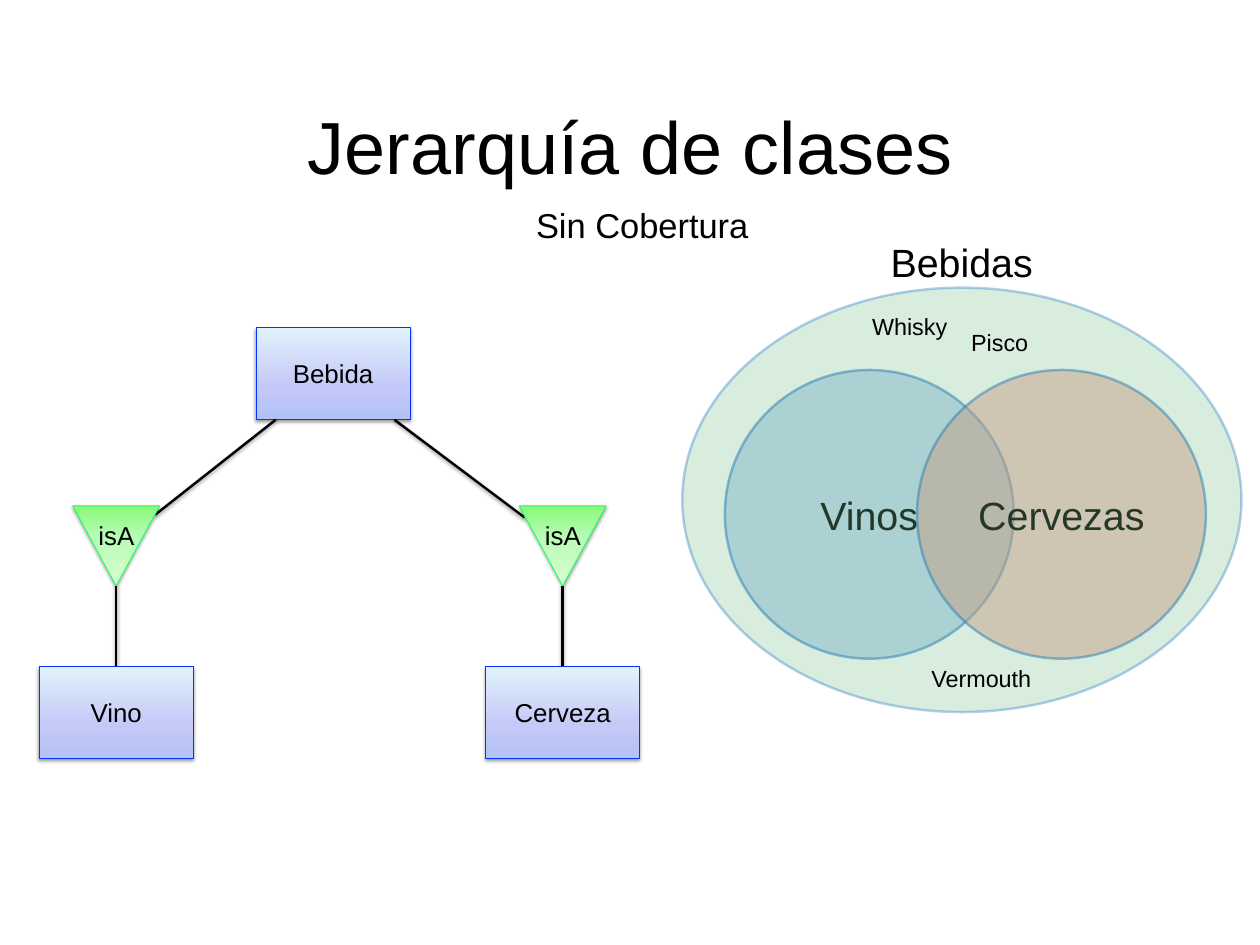
from lxml.etree import SubElement
from pptx import Presentation
from pptx.dml.color import RGBColor
from pptx.enum.shapes import MSO_CONNECTOR, MSO_SHAPE
from pptx.enum.text import MSO_ANCHOR, PP_ALIGN
from pptx.oxml import parse_xml
from pptx.oxml.ns import nsdecls, qn
from pptx.util import Cm, Pt

COLORS = {
    "text": "000000", "box_line": "0433FF", "triangle_line": "1DFF63",
    "set_line": "0365C0", "wines": "7FB1DF", "beers": "E39181", "drinks": "7EC393",
}
# Gradient stops run from the first colour to the last, as (percent, colour)
BOX_STOPS = [(0, "E1F2FC"), (64, "C4C9F7"), (100, "B2C2F5")]
TRIANGLE_STOPS = [(0, "8CF97C"), (3, "8CF97C"), (39, "B7FCB6"), (100, "DAFDD0")]


def write_text(shape, text, size=21, align=PP_ALIGN.CENTER, anchor=MSO_ANCHOR.MIDDLE, wrap=True):
    frame = shape.text_frame
    frame.word_wrap = wrap
    frame.vertical_anchor = anchor
    frame.margin_left = frame.margin_right = frame.margin_top = frame.margin_bottom = 0
    paragraph = frame.paragraphs[0]
    paragraph.alignment = align
    run = paragraph.add_run()
    run.text = text
    run.font.name = "Arial"
    run.font.size = Pt(size)
    run.font.color.rgb = RGBColor.from_string(COLORS["text"])


def add_label(slide, text, left, top, width, height, **text_format):
    label = slide.shapes.add_textbox(Cm(left), Cm(top), Cm(width), Cm(height))
    write_text(label, text, **text_format)


def add_shadow(shape):
    properties = shape._element.spPr
    for old_effects in properties.findall(qn("a:effectLst")):
        properties.remove(old_effects)
    properties.append(parse_xml(
        f'<a:effectLst {nsdecls("a")}><a:outerShdw blurRad="{Pt(3)}" dist="{Pt(1.6)}" '
        'dir="5400000" rotWithShape="0"><a:srgbClr val="000000"><a:alpha val="38000"/>'
        '</a:srgbClr></a:outerShdw></a:effectLst>'))


def add_gradient_shape(slide, kind, left, top, width, height, stops, line_color):
    shape = slide.shapes.add_shape(kind, Cm(left), Cm(top), Cm(width), Cm(height))
    shape.line.color.rgb = RGBColor.from_string(line_color)
    shape.line.width = Pt(0.75)
    stop_xml = "".join(f'<a:gs pos="{percent * 1000}"><a:srgbClr val="{color}"/></a:gs>'
                       for percent, color in stops)
    gradient = parse_xml(f'<a:gradFill {nsdecls("a")} rotWithShape="1"><a:gsLst>{stop_xml}'
                         '</a:gsLst><a:lin ang="5400000" scaled="0"/></a:gradFill>')
    shape._element.spPr.find(qn("a:prstGeom")).addnext(gradient)
    add_shadow(shape)
    return shape


def add_link(slide, start_x, start_y, end_x, end_y):
    link = slide.shapes.add_connector(
        MSO_CONNECTOR.STRAIGHT, Cm(start_x), Cm(start_y), Cm(end_x), Cm(end_y))
    link.line.color.rgb = RGBColor.from_string(COLORS["text"])
    link.line.width = Pt(2)
    add_shadow(link)


def add_set(slide, left, top, width, height, color, opacity):
    oval = slide.shapes.add_shape(MSO_SHAPE.OVAL, Cm(left), Cm(top), Cm(width), Cm(height))
    oval.shadow.inherit = False
    oval.fill.solid()
    oval.fill.fore_color.rgb = RGBColor.from_string(color)
    oval.line.color.rgb = RGBColor.from_string(COLORS["set_line"])
    oval.line.width = Pt(2)
    for color_element in oval._element.spPr.iter(qn("a:srgbClr")):
        SubElement(color_element, qn("a:alpha")).set("val", str(opacity * 1000))
    return oval


def add_heading(slide, left, top, width):
    add_label(slide, "Jerarquía de clases", left, top, width, 2.77, size=60)
    add_label(slide, "Sin Cobertura", left + 4.64, top + 2.95, 16.66, 1.45, size=28)


def add_hierarchy(slide, left, top, width, height):
    box_width, box_height = 4.42, 2.62
    triangle_width, triangle_height, triangle_top = 2.49, 2.29, top + 5.11
    box_top = top + height - box_height

    def add_entity(name, entity_left, entity_top):
        box = add_gradient_shape(slide, MSO_SHAPE.RECTANGLE, entity_left, entity_top,
                                 box_width, box_height, BOX_STOPS, COLORS["box_line"])
        write_text(box, name)

    # Parent class
    add_entity("Bebida", left + 6.22, top)

    # Subclasses: name, centre, start of the link, end of the link
    subclasses = [
        ("Vino", box_width / 2, (6.78, 2.64), (3.33, 5.36)),
        ("Cerveza", width - box_width / 2, (10.19, 2.64), (13.92, 5.44)),
    ]
    for name, offset, (start_x, start_y), (end_x, end_y) in subclasses:
        center = left + offset
        add_link(slide, left + start_x, top + start_y, left + end_x, top + end_y)
        add_link(slide, center, triangle_top + triangle_height, center, box_top)
        add_gradient_shape(slide, MSO_SHAPE.FLOWCHART_MERGE, center - triangle_width / 2,
                           triangle_top, triangle_width, triangle_height,
                           TRIANGLE_STOPS, COLORS["triangle_line"])
        add_label(slide, "isA", center - 0.53, triangle_top + 0.4, 1.07, 0.81,
                  anchor=MSO_ANCHOR.TOP, wrap=False)
        add_entity(name, center - box_width / 2, box_top)


def add_venn(slide, left, top, width, height):
    diameter, title_height = 8.28, 1.42
    # Subsets, seen through the translucent outer set
    for name, offset, color in [("Vinos", 1.22, "wines"), ("Cervezas", 6.73, "beers")]:
        circle = add_set(slide, left + offset, top + 3.78, diameter, diameter, COLORS[color], 50)
        write_text(circle, name, size=32)
    add_set(slide, left, top + title_height, width, height - title_height, COLORS["drinks"], 29)

    # Outer set name and its loose members
    labels = [
        ("Bebidas", 5.97, 0, 4.11, 1.27, 32),
        ("Whisky", 5.44, 2.13, 2.18, 0.76, 19),
        ("Vermouth", 7.14, 12.22, 2.95, 0.76, 19),
        ("Pisco", 8.28, 2.57, 1.68, 0.76, 19),
    ]
    for text, x, y, label_width, label_height, size in labels:
        add_label(slide, text, left + x, top + y, label_width, label_height, size=size,
                  align=PP_ALIGN.LEFT, anchor=MSO_ANCHOR.TOP, wrap=False)


presentation = Presentation()
presentation.slide_width, presentation.slide_height = Cm(36.12), Cm(27.1)
slide = presentation.slides.add_slide(presentation.slide_layouts[6])
add_heading(slide, 5.44, 2.77, 25.25)
add_hierarchy(slide, 1.12, 9.4, 17.22, 12.34)
add_venn(slide, 19.56, 6.83, 16.03, 13.59)
presentation.save("out.pptx")
